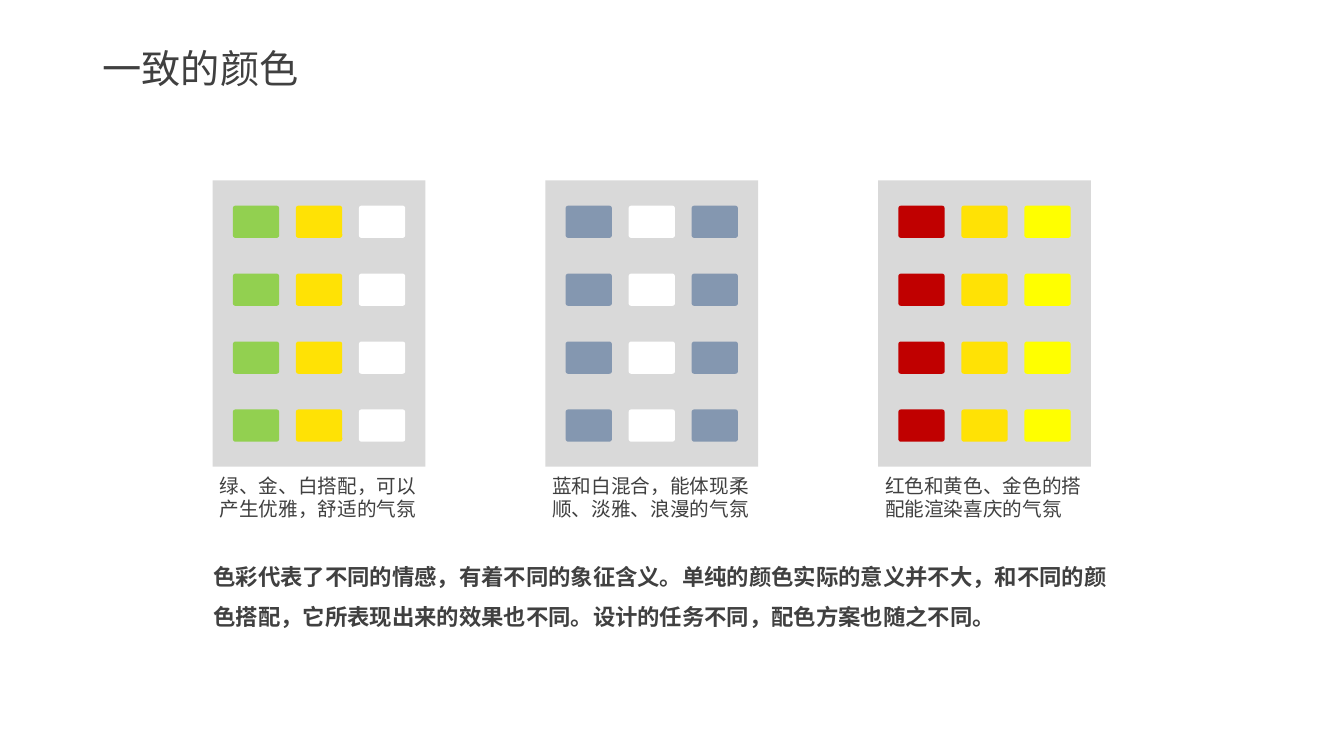
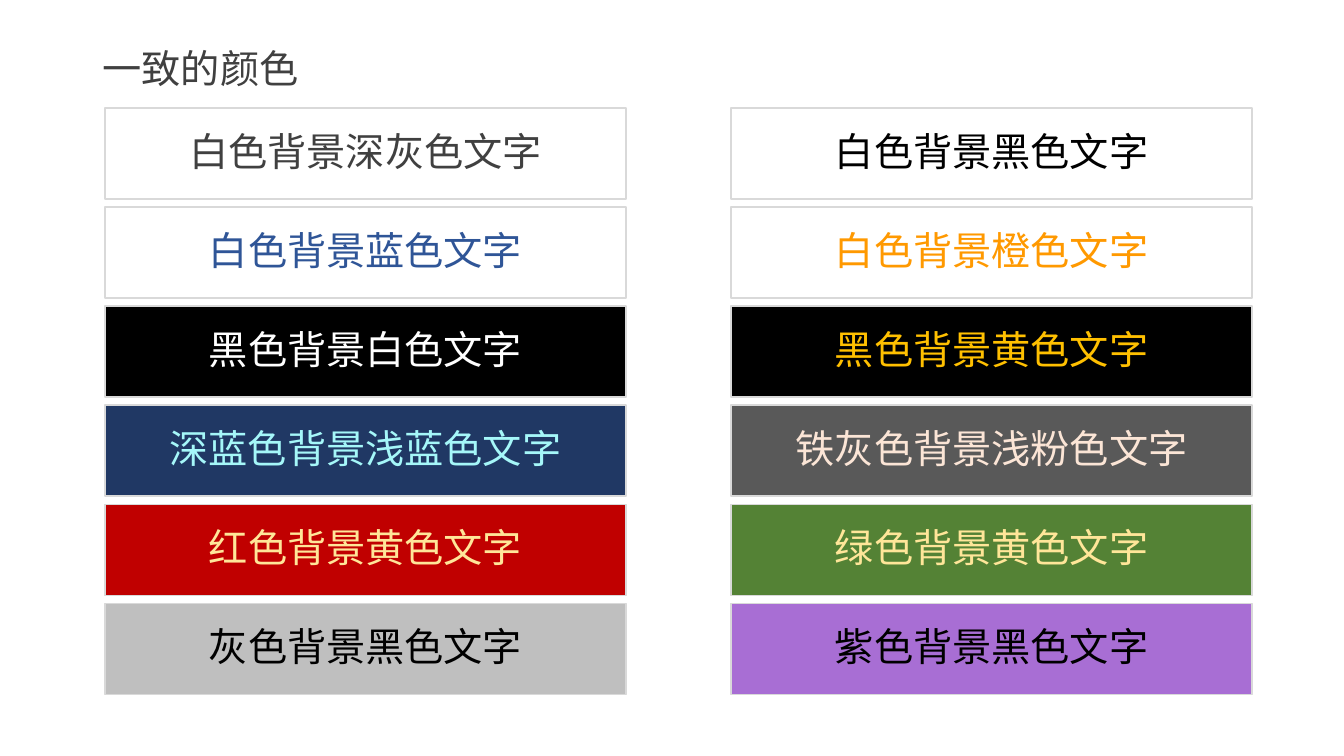
from dataclasses import dataclass

from lxml import etree
from pptx import Presentation
from pptx.dml.color import RGBColor
from pptx.enum.shapes import MSO_SHAPE
from pptx.enum.text import MSO_ANCHOR, PP_ALIGN
from pptx.oxml.ns import qn
from pptx.util import Inches, Pt


@dataclass(frozen=True)
class Theme:
    font: str = "Noto Sans CJK SC"
    title_size: int = 28
    body_size: int = 16
    caption_size: int = 14
    text: str = "404040"
    panel: str = "D9D9D9"
    white: str = "FFFFFF"
    black: str = "000000"
    gold: str = "FFE205"
    green: str = "92D050"
    steel: str = "8497B0"
    red: str = "C00000"
    yellow: str = "FFFF00"
    blue: str = "2F5597"
    orange: str = "FF9900"
    amber: str = "FFC000"
    navy: str = "203864"
    aqua: str = "A5F7F9"
    iron: str = "595959"
    pink: str = "FBE5D6"
    cream: str = "FFE699"
    forest: str = "548235"
    silver: str = "BFBFBF"
    purple: str = "A86ED4"


T = Theme()

PALETTES = [
    ((T.green, T.gold, T.white), "绿、金、白搭配，可以产生优雅，舒适的气氛"),
    ((T.steel, T.white, T.steel), "蓝和白混合，能体现柔顺、淡雅、浪漫的气氛"),
    ((T.red, T.gold, T.yellow), "红色和黄色、金色的搭配能渲染喜庆的气氛"),
]

SUMMARY = (
    "色彩代表了不同的情感，有着不同的象征含义。单纯的颜色实际的意义并不大，"
    "和不同的颜色搭配，它所表现出来的效果也不同。设计的任务不同，配色方案也随之不同。"
)

PAIRINGS = [
    ("白色背景深灰色文字", T.white, T.text),
    ("白色背景黑色文字", T.white, T.black),
    ("白色背景蓝色文字", T.white, T.blue),
    ("白色背景橙色文字", T.white, T.orange),
    ("黑色背景白色文字", T.black, T.white),
    ("黑色背景黄色文字", T.black, T.amber),
    ("深蓝色背景浅蓝色文字", T.navy, T.aqua),
    ("铁灰色背景浅粉色文字", T.iron, T.pink),
    ("红色背景黄色文字", T.red, T.cream),
    ("绿色背景黄色文字", T.forest, T.cream),
    ("灰色背景黑色文字", T.silver, T.black),
    ("紫色背景黑色文字", T.purple, T.black),
]


def write(sp, text, size=T.caption_size, color=T.text, bold=False,
          align=PP_ALIGN.LEFT, anchor=MSO_ANCHOR.TOP, spacing=1.0):
    tf = sp.text_frame
    tf.word_wrap = True
    tf.vertical_anchor = anchor
    p = tf.paragraphs[0]
    p.alignment = align
    p.line_spacing = spacing
    r = p.add_run()
    r.text = text
    r.font.name = T.font
    r.font.size = Pt(size)
    r.font.bold = bold
    r.font.color.rgb = RGBColor.from_string(color)
    ea = etree.SubElement(r.font._element, qn("a:ea"))
    ea.set("typeface", T.font)


def add_text(shapes, box, text, **fmt):
    sp = shapes.add_textbox(*map(Inches, box))
    write(sp, text, **fmt)


def add_block(shapes, box, fill, kind=MSO_SHAPE.RECTANGLE, line=None):
    sp = shapes.add_shape(kind, *map(Inches, box))
    sp.shadow.inherit = False
    sp.fill.solid()
    sp.fill.fore_color.rgb = RGBColor.from_string(fill)
    if line:
        sp.line.color.rgb = RGBColor.from_string(line)
        sp.line.width = Pt(1)
    else:
        sp.line.fill.background()
    return sp


def add_titled_slide(prs, title):
    s = prs.slides.add_slide(prs.slide_layouts[6])
    add_text(s.shapes, (0.92, 0.4, 11.5, 0.6), title, size=T.title_size,
             anchor=MSO_ANCHOR.MIDDLE, spacing=0.9)
    return s


def add_palette(s, box, colors, caption):
    x, y, w, h = box
    shapes = s.shapes.add_group_shape().shapes
    add_block(shapes, box, T.panel)
    for row in range(4):
        for col, color in enumerate(colors):
            chip = (x + 0.2 + col * 0.625, y + 0.25 + row * 0.674, 0.46, 0.32)
            sp = add_block(shapes, chip, color, MSO_SHAPE.ROUNDED_RECTANGLE)
            sp.adjustments[0] = 0.08
    add_text(shapes, (x - 0.03, y + h + 0.02, 2.15, 0.57), caption)


def add_pairing_grid(s, box, pairings, cols=2, gap_x=1.04, gap_y=0.08):
    x, y, w, h = box
    rows = len(pairings) // cols
    cell_w = (w - gap_x * (cols - 1)) / cols
    cell_h = (h - gap_y * (rows - 1)) / rows
    for i, (text, fill, color) in enumerate(pairings):
        row, col = divmod(i, cols)
        cell = (x + col * (cell_w + gap_x), y + row * (cell_h + gap_y),
                cell_w, cell_h)
        sp = add_block(s.shapes, cell, fill, line=T.panel)
        write(sp, text, size=T.title_size, color=color, align=PP_ALIGN.CENTER,
              anchor=MSO_ANCHOR.MIDDLE, spacing=0.9)


def build_palette_slide(prs, title):
    s = add_titled_slide(prs, title)
    add_text(s.shapes, (2.02, 5.4, 9.14, 0.86), SUMMARY, size=T.body_size,
             bold=True, spacing=1.5)
    for i, (colors, caption) in enumerate(PALETTES):
        add_palette(s, (2.11 + i * 3.3, 1.79, 2.11, 2.84), colors, caption)


def build_pairing_slide(prs, title):
    s = add_titled_slide(prs, title)
    add_pairing_grid(s, (1.04, 1.07, 11.38, 5.82), PAIRINGS)


def main():
    prs = Presentation()
    prs.slide_width = Inches(13.33)
    prs.slide_height = Inches(7.5)
    title = "一致的颜色"
    build_palette_slide(prs, title)
    build_pairing_slide(prs, title)
    prs.save("out.pptx")


if __name__ == "__main__":
    main()
